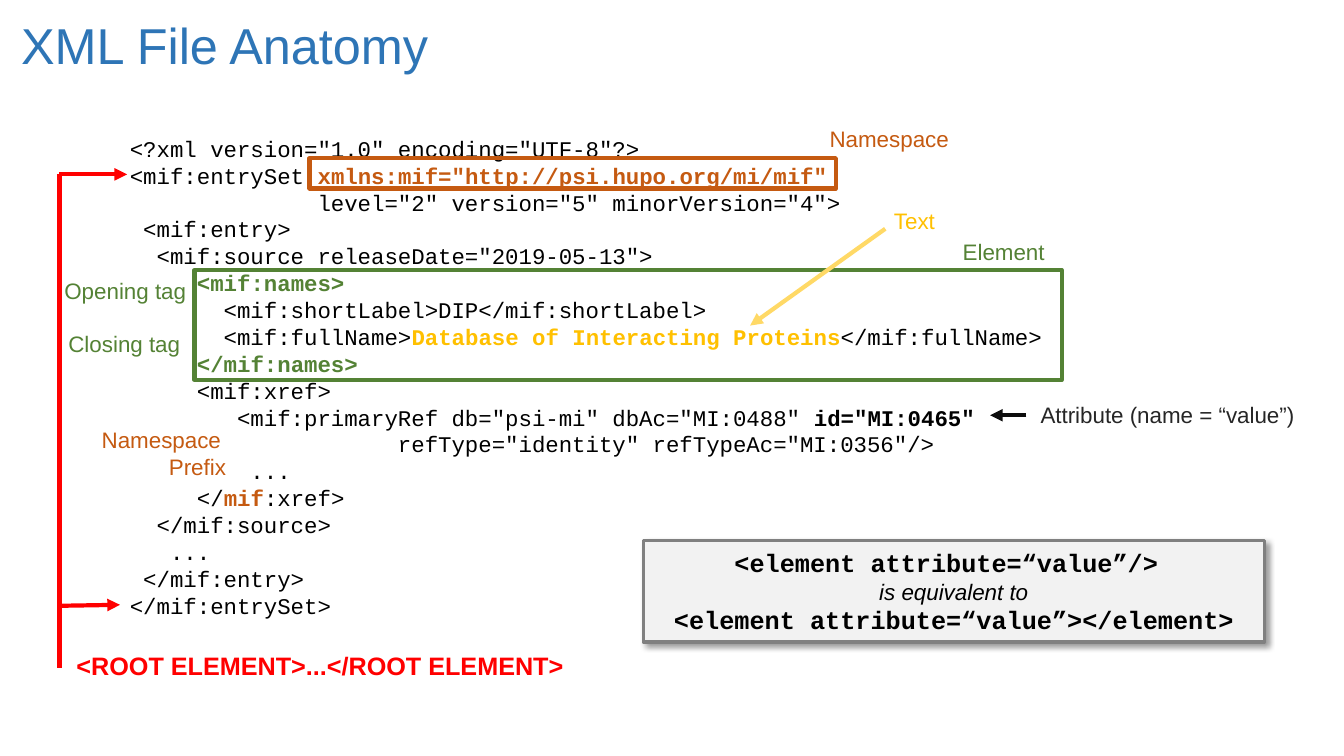
from dataclasses import dataclass
from lxml.etree import SubElement
from pptx import Presentation
from pptx.dml.color import RGBColor
from pptx.enum.shapes import MSO_CONNECTOR, MSO_SHAPE
from pptx.enum.text import MSO_ANCHOR, MSO_AUTO_SIZE, PP_ALIGN
from pptx.oxml import parse_xml
from pptx.oxml.ns import nsdecls, qn
from pptx.util import Inches, Pt


@dataclass(frozen=True)
class Theme:
    blue: str = "2E75B6"
    green: str = "548235"
    orange: str = "C55A11"
    gold: str = "FFC000"
    sand: str = "FFD966"
    red: str = "FF0000"
    black: str = "000000"
    ink: str = "262626"
    dark: str = "0D0D0D"
    pale: str = "F2F2F2"
    gray: str = "808080"
    sans: str = "Arial"
    mono: str = "Courier New"
    head: int = 36
    large: int = 18
    body: int = 16
    rule: float = 3
    edge: float = 2.25


T = Theme()

CODE = [
    [('<?xml version="1.0" encoding="UTF-8"?>', None)],
    [("<mif:entrySet ", None), ('xmlns:mif="http://psi.hupo.org/mi/mif"', T.orange)],
    [('              level="2" version="5" minorVersion="4">', None)],
    [(" <mif:entry>", None)],
    [('  <mif:source releaseDate="2019-05-13">', None)],
    [("     ", None), ("<mif:names>", T.green)],
    [("       <mif:shortLabel>DIP</mif:shortLabel>", None)],
    [("       <mif:fullName>", None), ("Database of Interacting Proteins", T.gold),
     ("</mif:fullName>", None)],
    [("     ", None), ("</mif:names>", T.green)],
    [("     <mif:xref>", None)],
    [('        <mif:primaryRef db="psi-mi" dbAc="MI:0488" ', None),
     ('id="MI:0465"', T.black)],
    [('                    refType="identity" refTypeAc="MI:0356"/>', None)],
    [("         ...", None)],
    [("     </", None), ("mif", T.orange), (":xref>", None)],
    [("  </mif:source>", None)],
    [("   ...", None)],
    [(" </mif:entry>", None)],
    [("</mif:entrySet>", None)],
]


def inset(box, x, y, w=0, h=0):
    return box[0] + x, box[1] + y, w, h


def paint(font, color, size=T.body, name=T.sans, bold=False, italic=False):
    font.name, font.size = name, Pt(size)
    font.bold, font.italic = bold, italic
    font.color.rgb = RGBColor.from_string(color)


def label(slide, box, text, color, size=T.body, bold=False, aligns=(PP_ALIGN.LEFT,)):
    frame = slide.shapes.add_textbox(*map(Inches, box)).text_frame
    frame.word_wrap = False
    frame.text = text
    for para, align in zip(frame.paragraphs, aligns):
        para.alignment = align
        for run in para.runs:
            paint(run.font, color, size, bold=bold)


def line(slide, box, start, end, color, arrow=True):
    points = [Inches(box[i] + p[i]) for p in (start, end) for i in (0, 1)]
    link = slide.shapes.add_connector(MSO_CONNECTOR.STRAIGHT, *points)
    link.line.width = Pt(T.rule)
    link.line.color.rgb = RGBColor.from_string(color)
    if arrow:
        SubElement(link.line._get_or_add_ln(), qn("a:tailEnd"), type="triangle")
    SubElement(link._element.spPr, qn("a:effectLst"))


def panel(slide, box, color, width=T.rule, fill=None):
    shape = slide.shapes.add_shape(MSO_SHAPE.RECTANGLE, *map(Inches, box))
    shape.shadow.inherit = False
    shape.line.width = Pt(width)
    shape.line.color.rgb = RGBColor.from_string(color)
    if fill:
        shape.fill.solid()
        shape.fill.fore_color.rgb = RGBColor.from_string(fill)
    else:
        shape.fill.background()
    return shape


def heading(slide, box):
    title = slide.shapes.title
    title.left, title.top, title.width, title.height = map(Inches, box)
    frame = title.text_frame
    frame.text = "XML File Anatomy"
    frame.word_wrap = False
    frame.auto_size = MSO_AUTO_SIZE.NONE
    frame.vertical_anchor = MSO_ANCHOR.TOP
    para = frame.paragraphs[0]
    para.alignment = PP_ALIGN.LEFT
    paint(para.runs[0].font, T.blue, T.head)


def listing(slide, box):
    frame = slide.shapes.add_textbox(*map(Inches, box)).text_frame
    frame.word_wrap = True
    for i, parts in enumerate(CODE):
        para = frame.add_paragraph() if i else frame.paragraphs[0]
        for text, color in parts:
            run = para.add_run()
            run.text = text
            paint(run.font, color or T.black, name=T.mono, bold=bool(color))
    panel(slide, inset(box, 0.74, 1.39, 8.6, 1.09), T.green)
    panel(slide, inset(box, 1.88, 0.28, 5.22, 0.3), T.orange)


def notes(slide, box):
    left, mid, right = PP_ALIGN.LEFT, PP_ALIGN.CENTER, PP_ALIGN.RIGHT
    for x, y, w, text, color, align in (
        (8.91, 1.12, 1.02, "Element", T.green, left),
        (0, 1.51, 1.42, "Opening tag", T.green, left),
        (0.04, 2.04, 1.32, "Closing tag", T.green, left),
        (7.59, 0, 1.4, "Namespace", T.orange, left),
        (9.66, 2.74, 2.76, "Attribute (name = “value”)", T.ink, mid),
        (7.96, 0.82, 1.14, "Text", T.gold, mid),
    ):
        label(slide, inset(box, x, y, w, 0.37), text, color, aligns=(align,))
    label(slide, inset(box, 0.32, 2.99, 1.48, 0.64), "Namespace\nPrefix",
          T.orange, aligns=(mid, right))
    line(slide, box, (9.64, 2.93), (9.28, 2.93), T.dark)
    line(slide, box, (8.24, 1.08), (6.9, 2.04), T.sand)


def callout(slide, box):
    shape = panel(slide, box, T.gray, T.edge, T.pale)
    props = shape._element.spPr
    props.remove(props.find(qn("a:effectLst")))
    props.append(parse_xml(
        f'<a:effectLst {nsdecls("a")}><a:outerShdw blurRad="{Pt(4)}" '
        f'dist="{Pt(3)}" dir="2700000" algn="tl" rotWithShape="0">'
        f'<a:srgbClr val="{T.black}"><a:alpha val="40000"/></a:srgbClr>'
        '</a:outerShdw></a:effectLst>'))
    frame = shape.text_frame
    frame.word_wrap = True
    frame.vertical_anchor = MSO_ANCHOR.MIDDLE
    frame.text = ("<element attribute=“value”/> \nis equivalent to\n"
                  "<element attribute=“value”></element>")
    for i, para in enumerate(frame.paragraphs):
        para.alignment = PP_ALIGN.CENTER
        font = para.runs[0].font
        if i == 1:
            paint(font, T.black, italic=True)
        else:
            paint(font, T.black, T.large, T.mono, bold=True)


def root(slide, box):
    line(slide, box, (0, 0), (0.67, 0), T.red)
    line(slide, box, (0, 4.28), (0.6, 4.27), T.red)
    line(slide, box, (0, 0), (0, 4.9), T.red, arrow=False)
    label(slide, inset(box, 0.07, 4.67, 5.08, 0.4),
          "<ROOT ELEMENT>...</ROOT ELEMENT>", T.red, T.large, bold=True)


def main():
    deck = Presentation()
    deck.slide_width, deck.slide_height = Inches(13.33), Inches(7.5)
    slide = deck.slides.add_slide(deck.slide_layouts[5])
    heading(slide, (0.11, 0.09, 4.28, 0.71))
    listing(slide, (1.19, 1.29, 10.27, 5.22))
    notes(slide, (0.54, 1.19, 12.42, 3.63))
    callout(slide, (6.38, 5.36, 6.16, 1.01))
    root(slide, (0.59, 1.73, 5.15, 5.07))
    deck.save("out.pptx")


if __name__ == "__main__":
    main()
